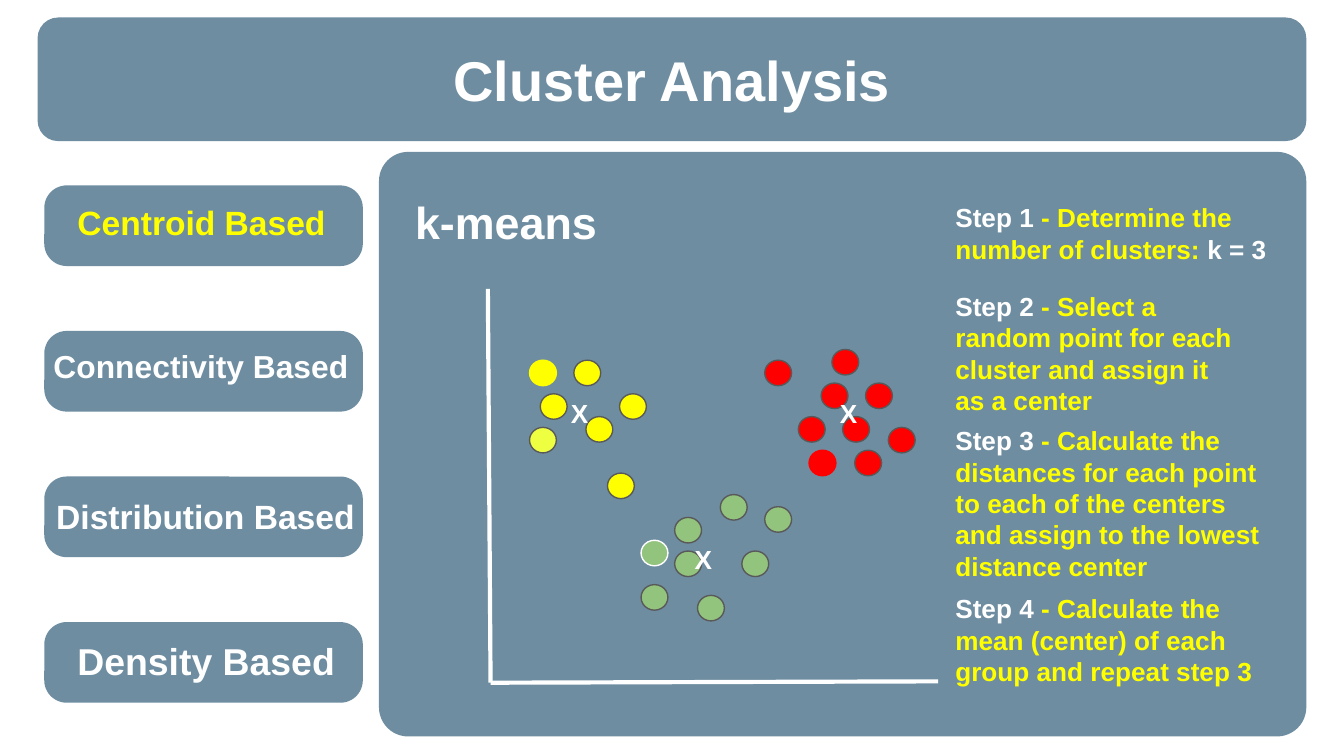
from pptx import Presentation
from pptx.dml.color import RGBColor
from pptx.enum.shapes import MSO_CONNECTOR, MSO_SHAPE
from pptx.enum.text import MSO_ANCHOR, PP_ALIGN
from pptx.oxml.ns import qn
from pptx.util import Inches, Pt
from lxml import etree

ROUND, OVAL = MSO_SHAPE.ROUNDED_RECTANGLE, MSO_SHAPE.OVAL
LINE = MSO_CONNECTOR.STRAIGHT
LEFT, CENTER = PP_ALIGN.LEFT, PP_ALIGN.CENTER
TOP, MIDDLE = MSO_ANCHOR.TOP, MSO_ANCHOR.MIDDLE
WHITE, YELLOW, LIME = "FFFFFF", "FFFF00", "EEFF41"
GREEN, RED, GRAY, BLUE = "93C47D", "FF0000", "595959", "215170"

# Widescreen slide, 16 to 9
deck = Presentation()
deck.slide_width, deck.slide_height = Inches(10), Inches(10 * 9 / 16)
slide = deck.slides.add_slide(deck.slide_layouts[6])
shapes = slide.shapes


def paint(form, color):
    form.solid()
    form.fore_color.rgb = RGBColor.from_string(color)


def write(text, at, size=14, color=WHITE, align=LEFT, anchor=TOP):
    """Text is a string, or a list of (string, color) runs."""
    box = shapes.add_textbox(*map(Inches, at))
    frame = box.text_frame
    frame.word_wrap = True
    frame.vertical_anchor = anchor
    frame.margin_left = frame.margin_right = Inches(0.1)
    frame.margin_top = frame.margin_bottom = Inches(0.1)
    para = frame.paragraphs[0]
    para.alignment = align
    for part, hue in [(text, color)] if isinstance(text, str) else text:
        run = para.add_run()
        run.text = part
        run.font.name, run.font.size, run.font.bold = "Arial", Pt(size), True
        paint(run.font.fill, hue)


# Translucent panels: header, body and four menu buttons
panels = [(0.28, 0.13, 9.44, 0.92, 0.167), (2.82, 1.13, 6.9, 4.35, 0.05)]
panels += [(0.33, 1.38 + 1.083 * row, 2.37, 0.6, 0.278) for row in range(4)]
for *at, bend in panels:
    panel = shapes.add_shape(ROUND, *map(Inches, at))
    panel.adjustments[0] = bend
    panel.shadow.inherit = False
    paint(panel.fill, BLUE)
    panel.line.fill.background()
    tint = panel._element.spPr.find(qn("a:solidFill"))[0]
    etree.SubElement(tint, qn("a:alpha")).set("val", "65000")

# Chart heading and axes
write("k-means", (2.99, 1.35, 6.28, 0.53), size=24)
for ends in [(3.63, 2.15, 3.65, 5.08), (6.98, 5.07, 3.65, 5.08)]:
    axis = shapes.add_connector(LINE, *map(Inches, ends))
    paint(axis.line.fill, WHITE)
    axis.line.width = Pt(2.25)
    etree.SubElement(axis._element.spPr, qn("a:effectLst"))

# Points of each cluster: fill, outline, places
groups = [
    (YELLOW, YELLOW, [(3.94, 2.68)]),
    (YELLOW, GRAY, [(4.02, 2.93), (4.27, 2.68), (4.36, 3.1), (4.61, 2.93),
                    (4.52, 3.52)]),
    (LIME, GRAY, [(3.94, 3.18)]),
    (GREEN, WHITE, [(4.77, 4.02)]),
    (GREEN, GRAY, [(5.02, 3.85), (5.02, 4.1), (4.77, 4.35), (5.19, 4.43),
                   (5.52, 4.1), (5.36, 3.68), (5.69, 3.77)]),
    (RED, GRAY, [(6.44, 2.85), (6.19, 2.6), (6.11, 2.85), (6.27, 3.1),
                 (6.61, 3.18), (6.36, 3.35), (5.94, 3.1), (5.69, 2.68)]),
    (RED, RED, [(6.02, 3.35)]),
]
for fill, edge, spots in groups:
    for x, y in spots:
        dot = shapes.add_shape(OVAL, *map(Inches, (x, y, 0.2, 0.19)))
        dot.shadow.inherit = False
        paint(dot.fill, fill)
        paint(dot.line.fill, edge)
        dot.line.width = Pt(0.75)

# Cluster centers
for x, y in [(4.15, 2.86), (5.07, 3.94), (6.15, 2.86)]:
    write("X", (x, y, 0.32, 0.45))

# Steps
steps = [
    (1.4, 2.58, 0.87, "Determine the number of clusters: ", "k = 3"),
    (2.06, 2.35, 1, "Select a random point for each cluster and assign it "
     "as a center", ""),
    (3.06, 2.51, 1.39, "Calculate the distances for each point to each of "
     "the centers and assign to the lowest distance center", ""),
    (4.31, 2.51, 1, "Calculate the mean (center) of each group and repeat "
     "step 3", ""),
]
for num, (y, wide, high, text, tail) in enumerate(steps, 1):
    runs = [(f"Step {num}", WHITE), (f" - {text}", YELLOW)]
    if tail:
        runs.append((tail, WHITE))
    write(runs, (7.01, y, wide, high))

# Menu labels
write("Centroid Based", (0.33, 1.4, 2.34, 0.53), size=18, color=YELLOW,
      align=CENTER)
write("Connectivity Based", (0.3, 2.48, 2.63, 0.71), size=17)
write("Distribution Based", (0.32, 3.59, 2.44, 0.44), size=18)
write("Density Based", (0.4, 4.65, 2.27, 0.53), size=20, align=CENTER)

# Title
write("Cluster Analysis", (0.33, 0.29, 9.34, 0.6), size=30, align=CENTER,
      anchor=MIDDLE)

deck.save("out.pptx")
